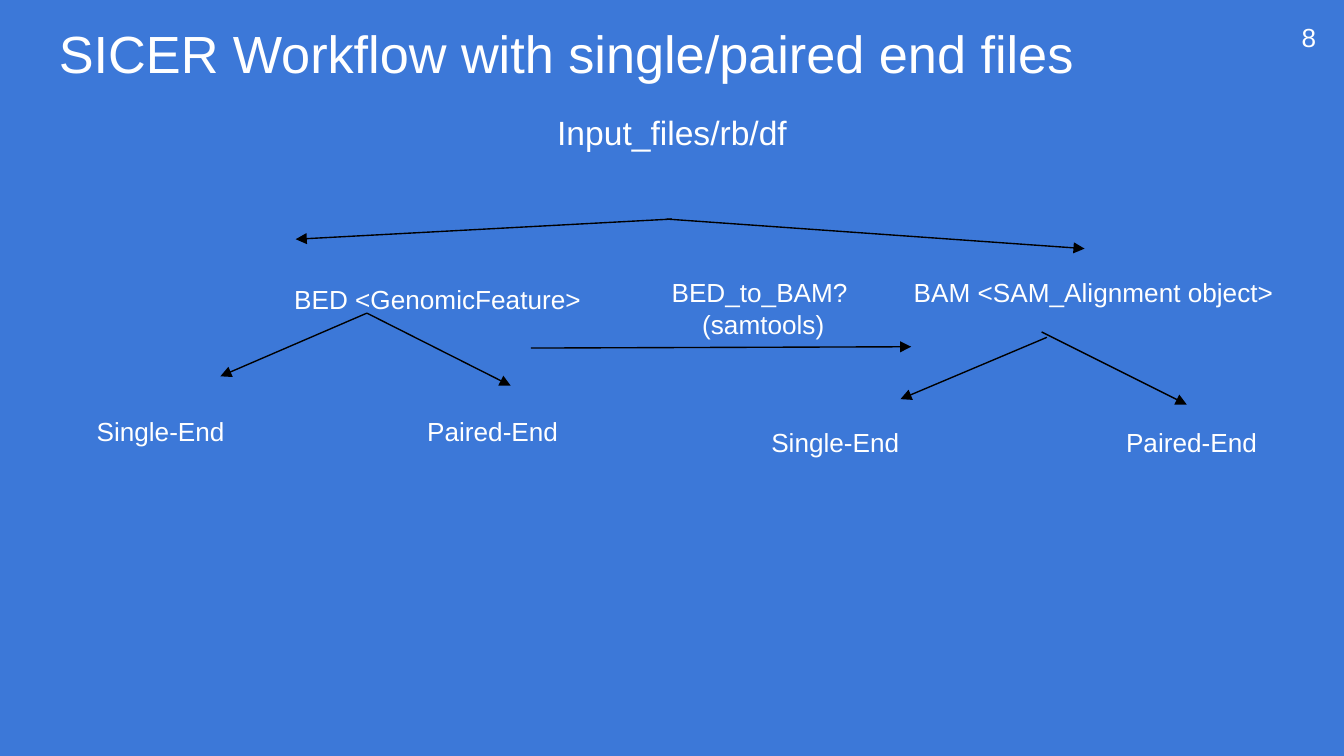
from dataclasses import dataclass

from pptx import Presentation
from pptx.dml.color import RGBColor
from pptx.enum.shapes import MSO_CONNECTOR as Connector
from pptx.enum.text import MSO_ANCHOR as Anchor, PP_ALIGN as Align
from pptx.oxml.ns import qn
from pptx.util import Inches, Pt
from lxml.etree import SubElement


@dataclass(frozen=True)
class Theme:
    font: str = "Arial"
    background: RGBColor = RGBColor(0x3C, 0x78, 0xD8)
    text: RGBColor = RGBColor(0xFF, 0xFF, 0xFF)
    arrow: RGBColor = RGBColor(0, 0, 0)
    title_size: int = 28
    heading_size: int = 18
    label_size: int = 14
    arrow_width: float = 0.75
    inset: float = 0.1


class SlideBuilder:
    def __init__(self, slide, theme):
        self.slide = slide
        self.theme = theme

    def background(self):
        fill = self.slide.background.fill
        fill.solid()
        fill.fore_color.rgb = self.theme.background

    def text(self, lines, left, top, width, height, size=None,
             align=Align.LEFT, anchor=Anchor.TOP):
        shape = self.slide.shapes.add_textbox(
            Inches(left), Inches(top), Inches(width), Inches(height))
        frame = shape.text_frame
        frame.word_wrap = True
        frame.vertical_anchor = anchor
        frame.margin_left = frame.margin_right = Inches(self.theme.inset)
        frame.margin_top = frame.margin_bottom = Inches(self.theme.inset)
        for index, line in enumerate(lines):
            paragraph = frame.add_paragraph() if index else frame.paragraphs[0]
            paragraph.alignment = align
            run = paragraph.add_run()
            run.text = line
            run.font.name = self.theme.font
            run.font.size = Pt(size or self.theme.label_size)
            run.font.color.rgb = self.theme.text

    def arrow(self, start, end):
        connector = self.slide.shapes.add_connector(
            Connector.STRAIGHT, *(Inches(value) for value in (*start, *end)))
        connector.line.color.rgb = self.theme.arrow
        connector.line.width = Pt(self.theme.arrow_width)
        SubElement(connector.line._get_or_add_ln(), qn("a:tailEnd"), type="triangle")
        SubElement(connector._element.spPr, qn("a:effectLst"))


def main():
    presentation = Presentation()
    presentation.slide_width = Inches(10)
    presentation.slide_height = Inches(10) * 9 // 16
    slide = presentation.slides.add_slide(presentation.slide_layouts[6])
    theme = Theme()
    builder = SlideBuilder(slide, theme)
    builder.background()

    builder.text(["SICER Workflow with single/paired end files"],
                 0.34, 0.06, 9.32, 0.63, theme.title_size)
    builder.text(["Input_files/rb/df"], 0.34, 0.73, 9.32, 4.63,
                 theme.heading_size, Align.CENTER)
    builder.text(["8"], 8.87, 0.06, 1.02, 0.43,
                 align=Align.RIGHT, anchor=Anchor.MIDDLE)

    builder.text(["BED <GenomicFeature>"], 2.09, 2.01, 2.75, 0.77)
    builder.text(["BED_to_BAM? ", "(samtools)"], 4.75, 1.96, 1.86, 0.77,
                 align=Align.CENTER)
    builder.text(["BAM <SAM_Alignment object>"], 6.7, 1.96, 3.18, 0.55)

    for top, single_left, paired_left in ((2.99, 0.62, 3.08), (3.07, 5.64, 8.28)):
        builder.text(["Single-End"], single_left, top, 1.92, 0.94)
        builder.text(["Paired-End"], paired_left, top, 1.92, 0.94)

    input_to_bed = ((5, 1.63), (2.2, 1.78))
    input_to_bam = ((4.96, 1.63), (8.07, 1.85))
    bed_to_single = ((2.73, 2.33), (1.64, 2.8))
    bed_to_paired = ((2.73, 2.33), (3.8, 2.87))
    bam_to_single = ((7.79, 2.51), (6.7, 2.97))
    bam_to_paired = ((7.75, 2.47), (8.83, 3.01))
    bed_to_bam = ((3.95, 2.59), (6.78, 2.58))
    for start, end in (input_to_bed, input_to_bam, bed_to_single, bed_to_paired,
                       bam_to_single, bam_to_paired, bed_to_bam):
        builder.arrow(start, end)

    presentation.save("out.pptx")


if __name__ == "__main__":
    main()
